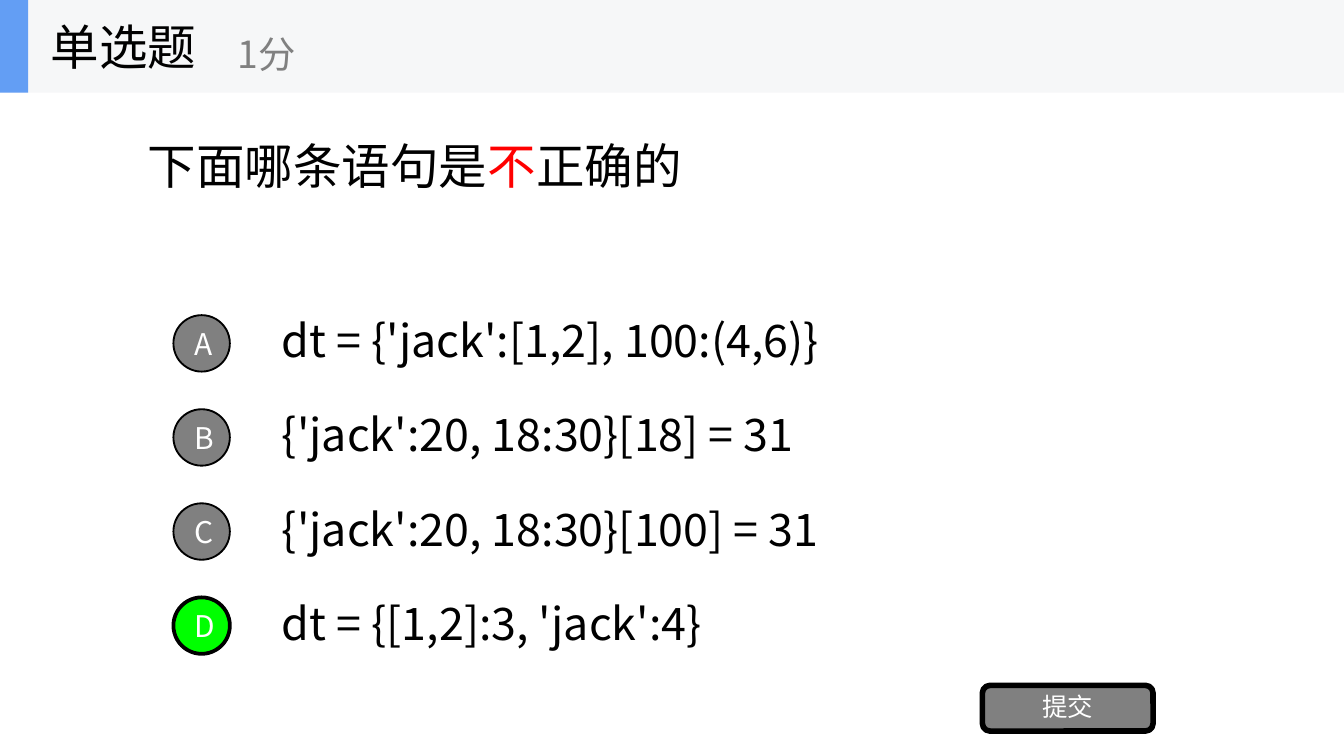
from dataclasses import dataclass

from lxml.etree import SubElement
from pptx import Presentation
from pptx.dml.color import RGBColor
from pptx.enum.shapes import MSO_SHAPE as Shape
from pptx.enum.text import MSO_ANCHOR as Anchor, PP_ALIGN as Align
from pptx.oxml.ns import qn
from pptx.util import Inches, Pt


@dataclass(frozen=True)
class Theme:
    font: str = "Noto Sans CJK SC"
    ink: str = "000000"
    white: str = "FFFFFF"
    gray: str = "808080"
    emphasis: str = "FF0000"
    correct: str = "00FF00"
    band: str = "F6F7F8"
    accent: str = "639EF4"
    title_size: float = 26
    option_size: float = 24
    score_size: float = 20
    letter_size: float = 16
    button_size: float = 13.6


@dataclass(frozen=True)
class Area:
    left: float
    top: float
    width: float
    height: float

    def lengths(self) -> list:
        return [Inches(v) for v in (self.left, self.top, self.width, self.height)]


@dataclass(frozen=True)
class Option:
    letter: str
    code: str
    is_answer: bool = False


THEME = Theme()
PAGE_WIDTH = 10
PAGE_HEIGHT = PAGE_WIDTH * 9 / 16
HEADER_HEIGHT = 0.69
OPTION_TOP, OPTION_STEP, OPTION_HEIGHT = 2.29, 0.7, 0.53
BADGE_SIZE = 0.42
OPTIONS = [
    Option("A", "dt = {'jack':[1,2], 100:(4,6)}"),
    Option("B", "{'jack':20, 18:30}[18] = 31"),
    Option("C", "{'jack':20, 18:30}[100] = 31"),
    Option("D", "dt = {[1,2]:3, 'jack':4}", is_answer=True),
]


def write(frame, text: str, size: float, color: str, align=Align.LEFT, spacing=None):
    """Fill a frame with one middle-anchored paragraph and return it."""
    frame.word_wrap = True
    frame.vertical_anchor = Anchor.MIDDLE
    para = frame.paragraphs[0]
    para.text = text
    para.alignment = align
    if spacing:
        para.line_spacing = spacing
    font = para.font
    font.size = Pt(size)
    font.color.rgb = RGBColor.from_string(color)
    font.name = THEME.font
    east_asian = SubElement(para._p.pPr.find(qn("a:defRPr")), qn("a:ea"))
    east_asian.set("typeface", THEME.font)
    return para


def add_text(shapes, area: Area, text: str, size: float, color: str = THEME.ink, spacing=None):
    box = shapes.add_textbox(*area.lengths())
    return write(box.text_frame, text, size, color, spacing=spacing)


def add_block(shapes, kind: Shape, area: Area, fill: str, line_width: float = 0):
    block = shapes.add_shape(kind, *area.lengths())
    block.shadow.inherit = False
    block.fill.solid()
    block.fill.fore_color.rgb = RGBColor.from_string(fill)
    if line_width:
        block.line.color.rgb = RGBColor.from_string(THEME.ink)
        block.line.width = Pt(line_width)
    else:
        block.line.fill.background()
    return block


def add_header(page) -> None:
    shapes = page.shapes.add_group_shape().shapes
    add_block(shapes, Shape.RECTANGLE, Area(0, 0, PAGE_WIDTH, HEADER_HEIGHT), THEME.band)
    add_block(shapes, Shape.RECTANGLE, Area(0, 0, 0.21, HEADER_HEIGHT), THEME.accent)
    add_text(shapes, Area(0.28, 0, 2.08, HEADER_HEIGHT), "单选题", THEME.title_size)
    add_text(shapes, Area(1.67, 0.12, 2.5, 0.56), "1分", THEME.score_size, THEME.gray)


def add_question(page) -> None:
    para = add_text(page.shapes, Area(1, 0.35, 8, 1.76), "下面哪条语句是", THEME.title_size)
    stressed = para.add_run()
    stressed.text = "不"
    stressed.font.color.rgb = RGBColor.from_string(THEME.emphasis)
    para.add_run().text = "正确的"


def add_option(page, option: Option, top: float) -> None:
    add_text(page.shapes, Area(2, top, 7, OPTION_HEIGHT), option.code,
             THEME.option_size, spacing=0.9)
    badge_top = top + (OPTION_HEIGHT - BADGE_SIZE) / 2
    badge = add_block(page.shapes, Shape.OVAL,
                      Area(1.29, badge_top, BADGE_SIZE, BADGE_SIZE),
                      THEME.correct if option.is_answer else THEME.gray,
                      2 if option.is_answer else 1)
    write(badge.text_frame, option.letter, THEME.letter_size, THEME.white, Align.CENTER)


def add_submit_button(page) -> None:
    button = add_block(page.shapes, Shape.ROUNDED_RECTANGLE,
                       Area(7.31, 5.1, 1.27, 0.34), THEME.gray, 3)
    write(button.text_frame, "提交", THEME.button_size, THEME.white, Align.CENTER, 0.9)


def main() -> None:
    deck = Presentation()
    deck.slide_width, deck.slide_height = Inches(PAGE_WIDTH), Inches(PAGE_HEIGHT)
    page = deck.slides.add_slide(deck.slide_layouts[6])
    add_question(page)
    for index, option in enumerate(OPTIONS):
        add_option(page, option, OPTION_TOP + index * OPTION_STEP)
    add_submit_button(page)
    add_header(page)
    deck.save("out.pptx")


if __name__ == "__main__":
    main()
